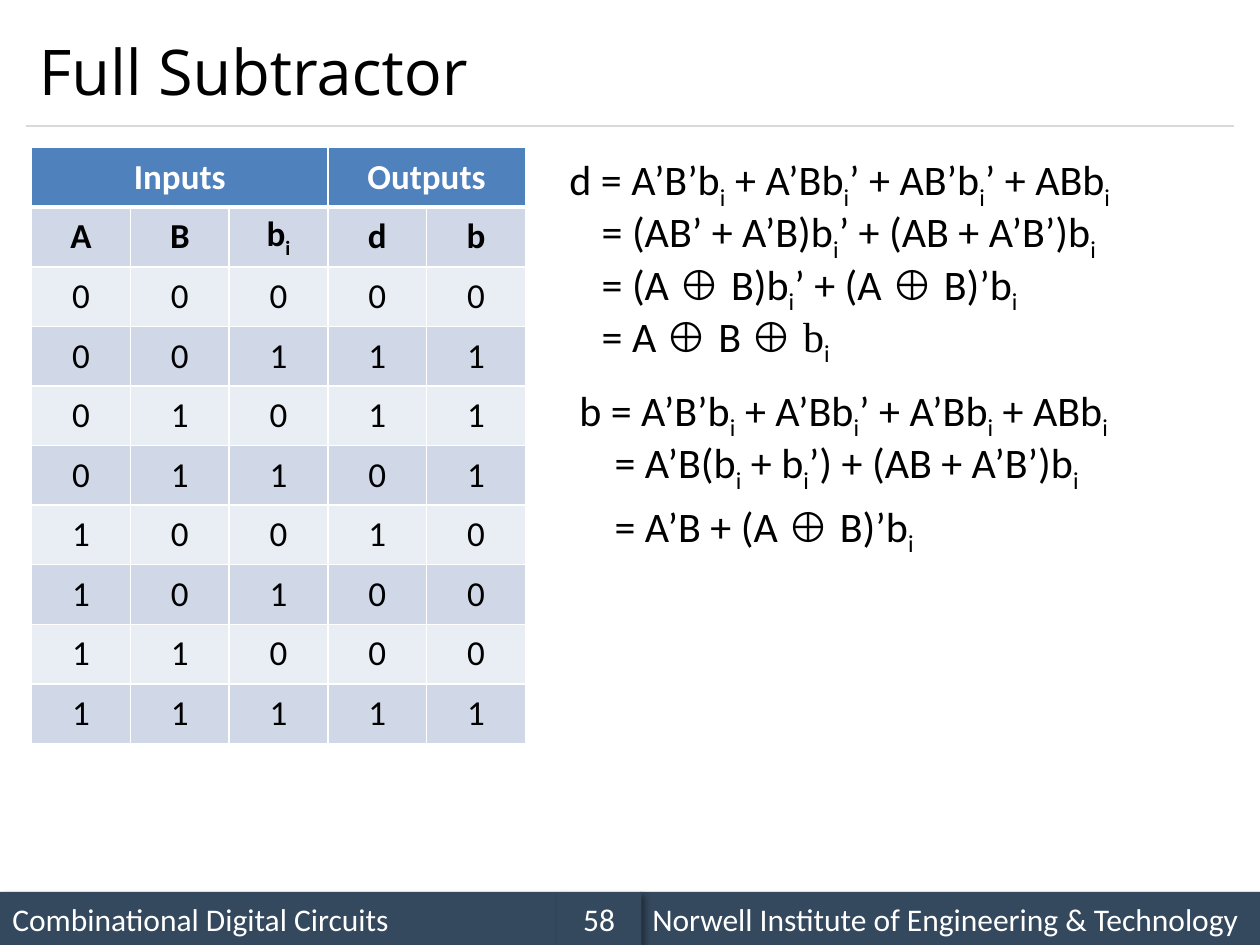
"""Builds the Full Subtractor slide with its truth table and derivations."""
from lxml import etree
from pptx import Presentation
from pptx.dml.color import RGBColor
from pptx.enum import shapes, text
from pptx.oxml import ns
from pptx.util import Cm, Pt

COLORS = {"ink": "000000", "white": "FFFFFF", "bar": "34495E", "rule": "D9D9D9",
          "head": "4F81BD", "dark": "D0D8E8", "light": "E9EDF4"}
DRAWING = ns.nsdecls("a")


def rgb(name):
    return RGBColor.from_string(COLORS[name])


def write(frame, content, size, color="ink", bold=False, align=text.PP_ALIGN.LEFT, face="Calibri"):
    """Add runs split at |, with i as subscript and ⊕ in Times New Roman."""
    para = frame.paragraphs[0]
    para.alignment = align
    for piece in content.split("|"):
        span = para.add_run()
        span.text = piece
        span.font.size = Pt(size)
        span.font.bold = bold
        span.font.name = "Times New Roman" if piece.startswith("⊕") else face
        span.font.color.rgb = rgb(color)
        if piece == "i":
            span._r.get_or_add_rPr().set("baseline", "-25000")


deck = Presentation()
deck.slide_width, deck.slide_height = Cm(25.4), Cm(19.05)
page = deck.slides.add_slide(deck.slide_layouts[5])

title = page.shapes.title
title.left, title.top, title.width, title.height = Cm(0.53), Cm(0.3), Cm(24.33), Cm(2.24)
title.text_frame.vertical_anchor = text.MSO_ANCHOR.MIDDLE
write(title.text_frame, "Full Subtractor", 36, face="Open Sans")

rule = page.shapes.add_connector(shapes.MSO_CONNECTOR.STRAIGHT, Cm(0.53), Cm(2.54), Cm(24.87), Cm(2.54))
rule.line.color.rgb = rgb("rule")
rule.line.width = Pt(0.75)
etree.SubElement(rule._element.spPr, ns.qn("a:effectLst"))

footer = [
    (0, 11.23, "Combinational Digital Circuits", text.PP_ALIGN.LEFT),
    (12.9, 12.5, "Norwell Institute of Engineering & Technology", text.PP_ALIGN.LEFT),
    (11.23, 1.7, "58", text.PP_ALIGN.CENTER),
]
for left, width, label, align in footer:
    bar = page.shapes.add_shape(shapes.MSO_SHAPE.RECTANGLE, Cm(left), Cm(17.98), Cm(width), Cm(1.07))
    bar.fill.solid()
    bar.fill.fore_color.rgb = rgb("bar")
    bar.line.fill.background()
    bar.shadow.inherit = False
    effects = bar._element.spPr.find(ns.qn("a:effectLst"))
    effects.append(etree.fromstring(
        f'<a:outerShdw {DRAWING} blurRad="{Pt(4)}" dist="{Pt(3)}" dir="2700000" algn="tl" rotWithShape="0">'
        '<a:srgbClr val="000000"><a:alpha val="40000"/></a:srgbClr></a:outerShdw>'))
    bar.text_frame.vertical_anchor = text.MSO_ANCHOR.MIDDLE
    bar.text_frame.word_wrap = True
    write(bar.text_frame, label, 18, "white", align=align)

rows = [["Inputs", "", "", "Outputs", ""], ["A", "B", "b|i", "d", "b"]]
rows += [list(digits) for digits in
         ("00000", "00111", "01011", "01101", "10010", "10100", "11000", "11111")]
table = page.shapes.add_table(len(rows), 5, Cm(0.64), Cm(2.97), Cm(9.95), Cm(12)).table
table.first_row = table.horz_banding = False
for column in table.columns:
    column.width = Cm(1.99)
for row_index, row in enumerate(rows):
    table.rows[row_index].height = Cm(1.2)
    fill = "head" if row_index == 0 else "dark" if row_index % 2 else "light"
    for column_index, content in enumerate(row):
        cell = table.cell(row_index, column_index)
        properties = cell._tc.get_or_add_tcPr()
        for side in "LRTB":
            thick = (row_index, side) in ((0, "B"), (1, "T"))
            properties.append(etree.fromstring(
                f'<a:ln{side} {DRAWING} w="{Pt(3 if thick else 1)}"><a:solidFill>'
                f'<a:srgbClr val="{COLORS["white"]}"/></a:solidFill></a:ln{side}>'))
        cell.fill.solid()
        cell.fill.fore_color.rgb = rgb(fill)
        cell.vertical_anchor = text.MSO_ANCHOR.MIDDLE
        if content:
            write(cell.text_frame, content, 20, "ink" if row_index else "white",
                  row_index < 2, text.PP_ALIGN.CENTER)
table.cell(0, 0).merge(table.cell(0, 2))
table.cell(0, 3).merge(table.cell(0, 4))

equations = [
    (11.23, 2.97, 11.56, "d = A’B’b|i| + A’Bb|i|’ + AB’b|i|’ + ABb|i"),
    (11.3, 4.02, 11.46, "= (AB’ + A’B)b|i|’ + (AB + A’B’)b|i"),
    (11.3, 5.08, 9.8, "= (A |⊕ |B)b|i|’ + (A |⊕ |B)’b|i"),
    (11.3, 6.13, 5.72, "= A |⊕ |B |⊕ b|i"),
    (11.43, 7.62, 11.63, "b = A’B’b|i| + A’Bb|i|’ + A’Bb|i| + ABb|i"),
    (11.56, 8.68, 10.87, "= A’B(b|i| + b|i|’) + (AB + A’B’)b|i"),
    (11.56, 9.96, 7.16, "= A’B + (A |⊕ |B)’b|i"),
]
for left, top, width, equation in equations:
    box = page.shapes.add_textbox(Cm(left), Cm(top), Cm(width), Cm(1.27))
    box.text_frame.word_wrap = False
    box.text_frame.auto_size = text.MSO_AUTO_SIZE.SHAPE_TO_FIT_TEXT
    box.text_frame.margin_left = Cm(0.83 if equation.startswith("=") else 0.25)
    write(box.text_frame, equation, 24)

deck.save("out.pptx")
